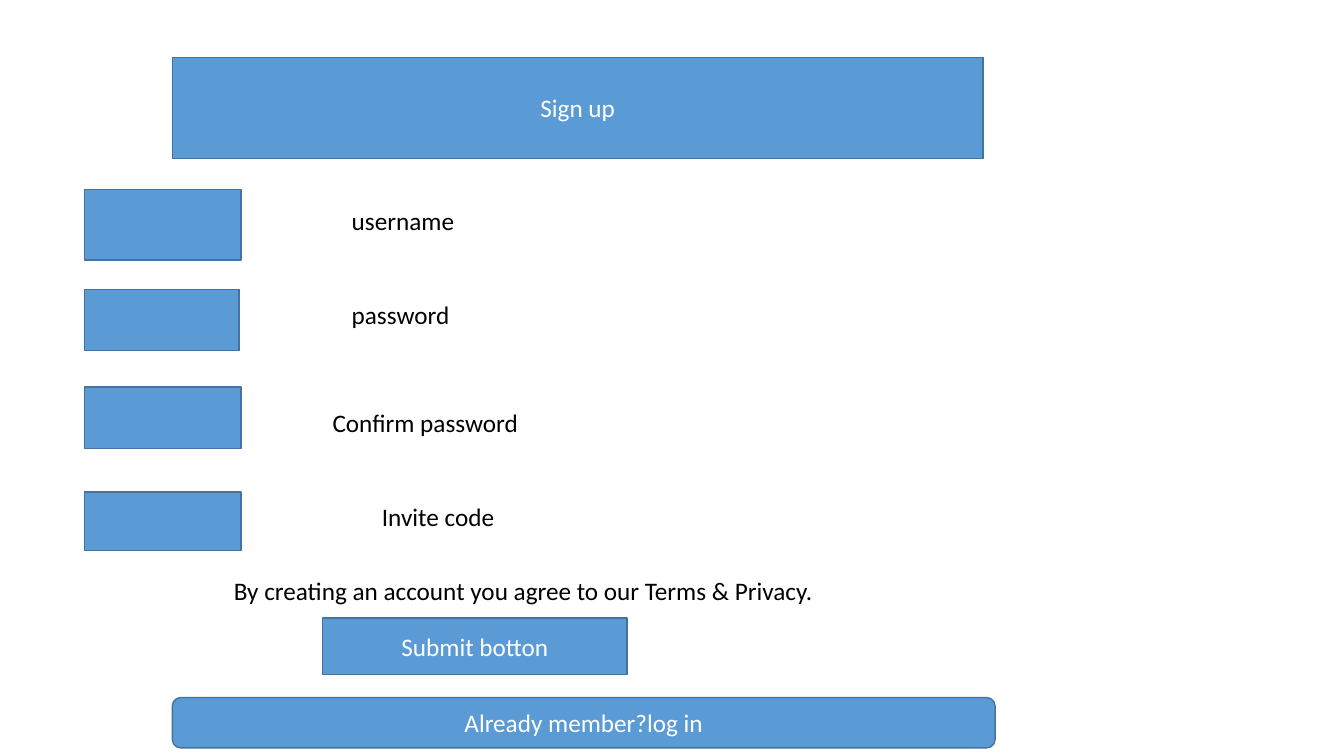
from dataclasses import dataclass
from pptx import Presentation
from pptx.dml.color import RGBColor as Rgb
from pptx.enum.shapes import MSO_SHAPE as Kind
from pptx.enum.text import MSO_ANCHOR as Anchor, MSO_AUTO_SIZE as Fit, PP_ALIGN as Align
from pptx.util import Inches, Pt


@dataclass(frozen=True)
class Theme:
    fill: Rgb = Rgb.from_string("5B9BD5")
    edge: Rgb = Rgb.from_string("43739E")
    light: Rgb = Rgb.from_string("FFFFFF")
    dark: Rgb = Rgb.from_string("000000")
    font: str = "Calibri"
    size: int = 18
    line: int = 1


def apply(item, values):
    for name, value in values.items():
        setattr(item, name, value)


class Page:
    def __init__(self, slide, theme):
        self.slide = slide
        self.theme = theme

    def letter(self, shape, text, color, align, frame):
        apply(shape.text_frame, {"word_wrap": True, **frame})
        para = shape.text_frame.paragraphs[0]
        para.alignment = align
        run = para.add_run()
        run.text = text
        apply(run.font, {"name": self.theme.font, "size": Pt(self.theme.size)})
        run.font.color.rgb = color

    def paint(self, shape, text):
        shape.fill.solid()
        shape.fill.fore_color.rgb = self.theme.fill
        shape.line.color.rgb = self.theme.edge
        shape.line.width = Pt(self.theme.line)
        if text:
            frame = {"vertical_anchor": Anchor.MIDDLE, "auto_size": Fit.NONE}
            self.letter(shape, text, self.theme.light, Align.CENTER, frame)

    def title(self, text, *place):
        shape = self.slide.shapes.title
        names = ("left", "top", "width", "height")
        apply(shape, dict(zip(names, map(Inches, place))))
        self.paint(shape, text)

    def box(self, *place, text="", kind=Kind.RECTANGLE):
        shape = self.slide.shapes.add_shape(kind, *map(Inches, place))
        shape.shadow.inherit = False
        self.paint(shape, text)

    def label(self, text, left, top, width):
        shape = self.slide.shapes.add_textbox(*map(Inches, (left, top, width, 0.4)))
        frame = {"auto_size": Fit.SHAPE_TO_FIT_TEXT}
        self.letter(shape, text, self.theme.dark, Align.LEFT, frame)


FIELDS = [
    ((1.88, 1.55, 0.7), ("username", 3.39, 1.99, 6.01)),
    ((2.87, 1.53, 0.61), ("password", 3.39, 2.92, 5.5)),
    ((3.84, 1.55, 0.61), ("Confirm password", 3.2, 3.99, 5.24)),
    ((4.88, 1.55, 0.58), ("Invite code", 3.69, 4.92, 1.53)),
]


def main():
    deck = Presentation()
    apply(deck, {"slide_width": Inches(13.33), "slide_height": Inches(7.5)})
    page = Page(deck.slides.add_slide(deck.slide_layouts[5]), Theme())
    page.title("Sign up", 1.71, 0.57, 8.04, 1)
    for place, label in FIELDS:
        page.box(0.84, *place)
        page.label(*label)
    page.label("By creating an account you agree to our Terms & Privacy.", 2.22, 5.66, 7.01)
    page.box(3.2, 6.13, 3.02, 0.56, text="Submit botton")
    page.box(1.71, 6.92, 8.16, 0.5, text="Already member?log in", kind=Kind.ROUNDED_RECTANGLE)
    deck.save("out.pptx")


if __name__ == "__main__":
    main()
